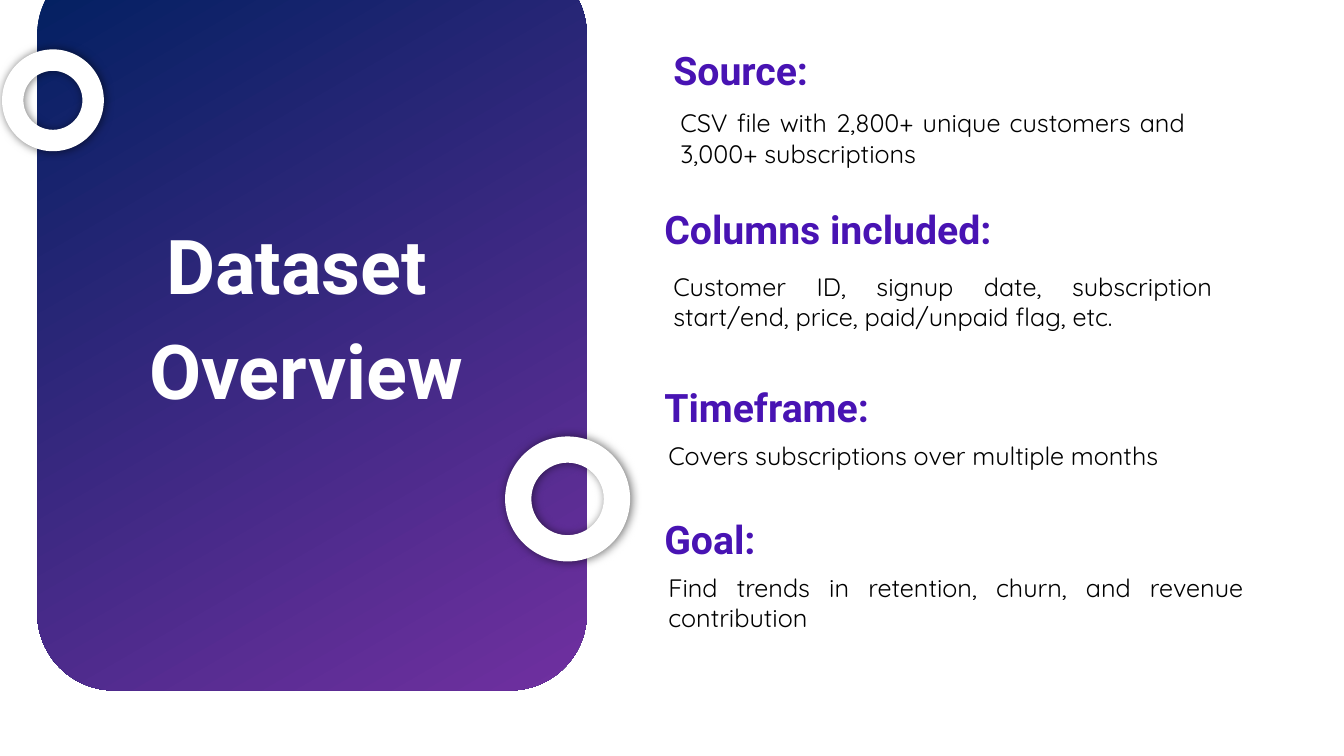
from lxml import etree
from pptx import Presentation
from pptx.dml.color import RGBColor
from pptx.enum.shapes import MSO_SHAPE as Shape
from pptx.enum.text import MSO_ANCHOR as Anchor, MSO_AUTO_SIZE as AutoSize, PP_ALIGN as Align
from pptx.oxml.ns import qn
from pptx.util import Inches, Pt

WHITE, BLACK, VIOLET = "FFFFFF", "000000", "4813B3"
NAVY, PURPLE = "002060", "7030A0"

SECTIONS = [
    ("Source:", (6.58, 0.41, 5.46, 0.57),
     "CSV file with 2,800+ unique customers and 3,000+ subscriptions",
     (6.65, 1.02, 5.2, 0.71)),
    ("Columns included:", (6.49, 1.99, 6.9, 0.57),
     "Customer ID, signup date, subscription start/end, price, paid/unpaid flag, etc.",
     (6.58, 2.64, 5.54, 0.71)),
    ("Timeframe:", (6.49, 3.75, 7.69, 0.57),
     "Covers subscriptions over multiple months",
     (6.53, 4.32, 5.9, 0.4)),
    ("Goal:", (6.49, 5.06, 7.69, 0.5),
     "Find trends in retention, churn, and revenue contribution",
     (6.53, 5.63, 5.9, 0.71)),
]


def rgb(code):
    return RGBColor.from_string(code)


def inches(box):
    return [Inches(length) for length in box]


def style(paragraph, font_name, size, color, bold, align):
    paragraph.alignment = align
    font = paragraph.font
    font.name, font.size, font.bold = font_name, Pt(size), bold
    font.color.rgb = rgb(color)


def add_panel(slide):
    panel = slide.shapes.add_shape(Shape.ROUNDED_RECTANGLE, *inches((0.37, -0.42, 5.45, 7.27)))
    panel.adjustments[0] = 0.14
    panel.shadow.inherit = False
    panel.line.fill.background()
    panel.fill.gradient()
    panel.fill.gradient_angle = 300
    for stop, color in zip(panel.fill.gradient_stops, (NAVY, PURPLE)):
        stop.color.rgb = rgb(color)
    return panel


def set_title(slide, panel):
    title = slide.shapes.title
    title.left, title.top, title.width, title.height = inches((0.8, 2.12, 4.47, 2.53))
    panel.element.addnext(title.element)
    frame = title.text_frame
    frame.text = "Dataset \nOverview"
    frame.word_wrap = True
    frame.auto_size = AutoSize.NONE
    frame.vertical_anchor = Anchor.TOP
    for paragraph in frame.paragraphs:
        style(paragraph, "Roboto", 54, WHITE, True, Align.CENTER)
        paragraph.space_before = Pt(10)


def add_ring(slide, left, top, diameter):
    ring = slide.shapes.add_shape(Shape.DONUT, *inches((left, top, diameter, diameter)))
    ring.adjustments[0] = 0.21
    ring.fill.solid()
    ring.fill.fore_color.rgb = rgb(WHITE)
    ring.line.fill.background()
    ring.shadow.inherit = False
    effects = ring.element.spPr.find(qn("a:effectLst"))
    shadow = etree.SubElement(effects, qn("a:outerShdw"), blurRad=str(Pt(7)), dist=str(Pt(1)),
                              dir=str(17 * 60000), algn="ctr", rotWithShape="0")
    tint = etree.SubElement(shadow, qn("a:srgbClr"), val=BLACK)
    etree.SubElement(tint, qn("a:alpha"), val="54000")


def add_text(slide, text, box, *look):
    frame = slide.shapes.add_textbox(*inches(box)).text_frame
    frame.word_wrap = True
    frame.auto_size = AutoSize.SHAPE_TO_FIT_TEXT
    frame.text = text
    style(frame.paragraphs[0], *look)


def main():
    deck = Presentation()
    deck.slide_width, deck.slide_height = Inches(13.33), Inches(7.5)
    slide = deck.slides.add_slide(deck.slide_layouts.get_by_name("Title Only"))
    set_title(slide, add_panel(slide))
    add_ring(slide, 0.02, 0.49, 1.01)
    add_ring(slide, 5.01, 4.33, 1.24)
    for heading, heading_box, detail, detail_box in SECTIONS:
        add_text(slide, heading, heading_box, "Roboto", 28, VIOLET, True, Align.LEFT)
        add_text(slide, detail, detail_box, "Quicksand", 18, BLACK, False, Align.JUSTIFY)
    deck.save("out.pptx")


if __name__ == "__main__":
    main()
